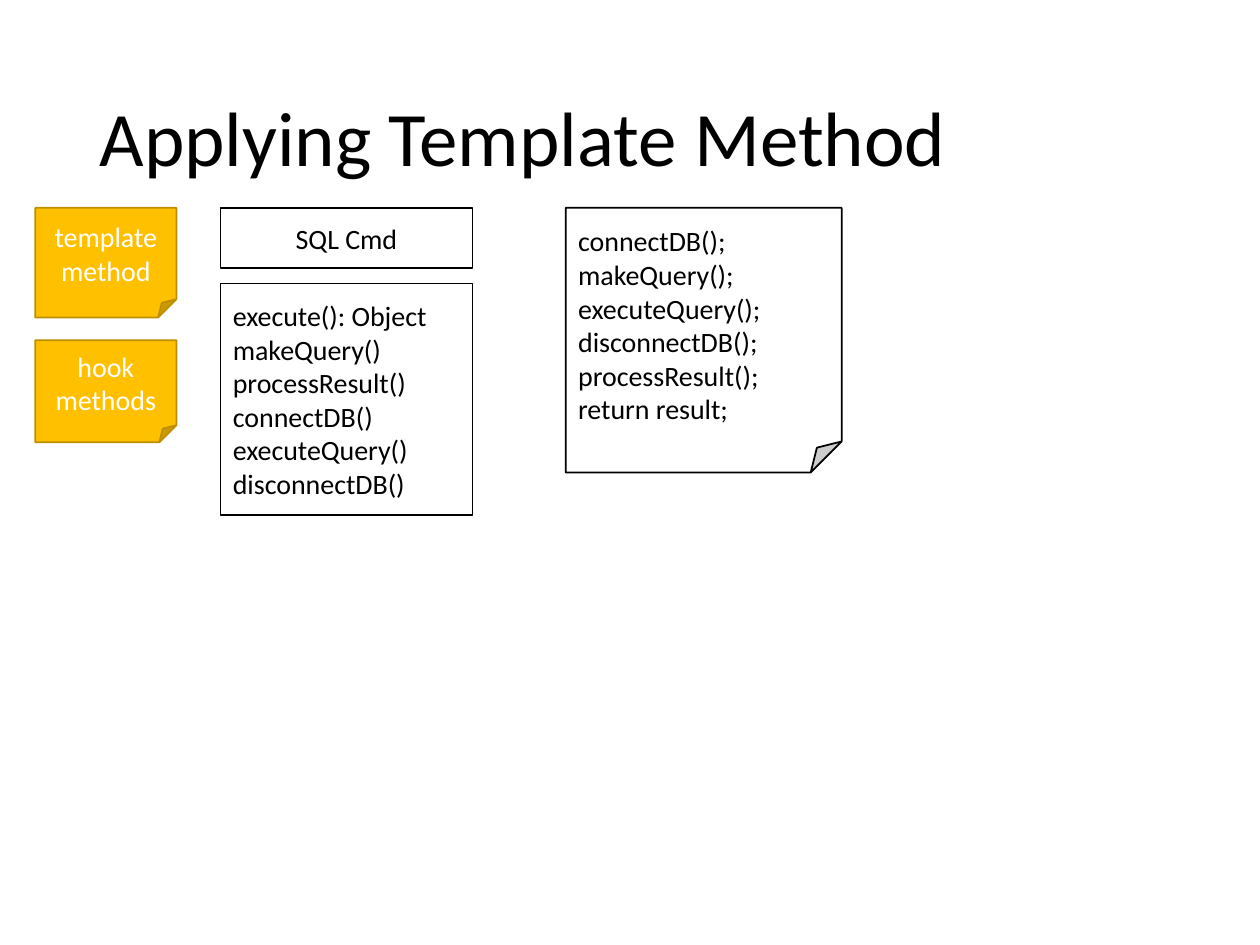
from dataclasses import dataclass

from lxml import etree
from pptx import Presentation
from pptx import util as u
from pptx.dml.color import RGBColor
from pptx.enum import shapes, text
from pptx.oxml import ns


@dataclass(frozen=True)
class Theme:
    font: str = "Calibri"
    title_size: int = 44
    body_size: int = 16
    ink: str = "000000"
    paper: str = "FFFFFF"
    note: str = "FFC000"
    note_edge: str = "BD8E00"


THEME = Theme()
WIDTH, HEIGHT = 10, 7.5
TOP = 1.65  # shared top edge of the three columns
RECTANGLE = shapes.MSO_SHAPE.RECTANGLE
FOLDED = shapes.MSO_SHAPE.FOLDED_CORNER


def write(frame, lines, size=THEME.body_size, color=THEME.ink,
          align=text.PP_ALIGN.LEFT, spacing=None):
    frame.word_wrap = True
    frame.vertical_anchor = text.MSO_ANCHOR.MIDDLE
    for index, line in enumerate(lines):
        paragraph = frame.paragraphs[0] if index == 0 else frame.add_paragraph()
        paragraph.alignment = align
        paragraph.line_spacing = spacing
        run = paragraph.add_run()
        run.text = line
        run.font.name = THEME.font
        run.font.size = u.Pt(size)
        run.font.color.rgb = RGBColor.from_string(color)


def place(shape, box):
    shape.left, shape.top, shape.width, shape.height = map(u.Inches, box)


def add_box(slide, kind, box, lines, fill=THEME.paper, edge=THEME.ink, **format):
    shape = slide.shapes.add_shape(kind, *map(u.Inches, box))
    shape.shadow.inherit = False
    shape.fill.solid()
    shape.fill.fore_color.rgb = RGBColor.from_string(fill)
    shape.line.color.rgb = RGBColor.from_string(edge)
    shape.line.width = u.Pt(1)
    write(shape.text_frame, lines, **format)
    return shape


def set_fold(shape, share):
    """Set the fold size; python-pptx lists no adjustment for this shape."""
    guides = next(shape.element.iter(ns.qn("a:avLst")))
    etree.SubElement(guides, ns.qn("a:gd"), name="adj",
                     fmla=f"val {round(share * 100000)}")


def add_title(slide, box, title):
    place(slide.shapes.title, box)
    write(slide.shapes.title.text_frame, [title], size=THEME.title_size, spacing=0.9)


def add_labels(slide, box, labels, gap=0.18):
    """Stack notes of the given (text, height) pairs downwards."""
    left, top, width = box
    for label, height in labels:
        add_box(slide, FOLDED, (left, top, width, height), [label],
                fill=THEME.note, edge=THEME.note_edge, color=THEME.paper,
                align=text.PP_ALIGN.CENTER)
        top += height + gap


def add_class(slide, box, name, methods, head=0.48, gap=0.12):
    left, top, width, height = box
    add_box(slide, RECTANGLE, (left, top, width, head), [name],
            align=text.PP_ALIGN.CENTER)
    offset = head + gap
    add_box(slide, RECTANGLE, (left, top + offset, width, height - offset), methods)


def add_code_note(slide, box, lines):
    set_fold(add_box(slide, FOLDED, box, lines), 0.117)


presentation = Presentation()
presentation.slide_width = u.Inches(WIDTH)
presentation.slide_height = u.Inches(HEIGHT)
slide = presentation.slides.add_slide(presentation.slide_layouts[5])

# Title
add_title(slide, (0.69, 0.4, 8.62, 1.45), "Applying Template Method")

# Labels, class and code, from left to right
add_labels(slide, (0.28, TOP, 1.12),
           [("template method", 0.87), ("hook methods", 0.81)])
add_class(slide, (1.75, TOP, 2, 2.44), "SQL Cmd",
          ["execute(): Object", "makeQuery()", "processResult()",
           "connectDB()", "executeQuery()", "disconnectDB()"])
add_code_note(slide, (4.49, TOP, 2.19, 2.1),
              ["connectDB();", "makeQuery();", "executeQuery();",
               "disconnectDB();", "processResult();", "return result;"])

presentation.save("out.pptx")
